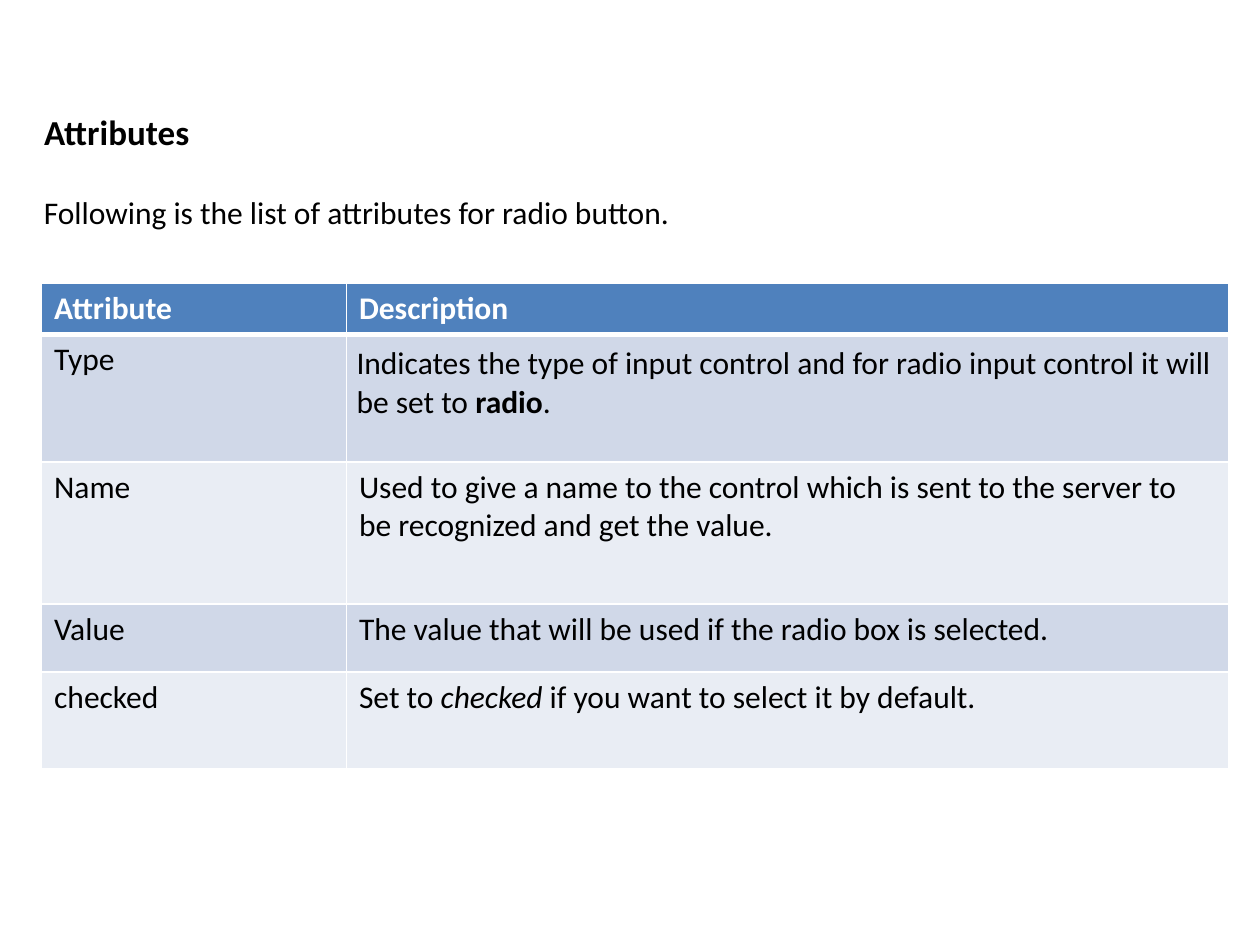
from lxml import etree
from pptx import Presentation, util as u
from pptx.dml.color import RGBColor
from pptx.enum import text
from pptx.oxml import ns

THEME = {
    "font": "Calibri", "title": 20, "body": 18,
    "ink": "000000", "paper": "FFFFFF", "header": "4F81BD",
    "bands": ("D0D8E8", "E9EDF4"), "rule": 1, "header_rule": 3,
}
TITLE = "Attributes"
INTRO = "Following is the list of attributes for radio button."
# Each cell is a list of (words, style) spans.
ROWS = [
    [[("Attribute", "bold")], [("Description", "bold")]],
    [[("Type", "")],
     [("Indicates the type of input control and for radio input control it will be set to\u00a0", ""),
      ("radio", "bold"), (".", "")]],
    [[("Name", "")],
     [("Used to give a name to the control which is sent to the server to be "
       "recognized and get the value.", "")]],
    [[("Value", "")],
     [("The value that will be used if the radio box is selected.", "")]],
    [[("checked", "")],
     [("Set to\u00a0", ""), ("checked", "italic"),
      ("\u00a0if you want to select it by default.", "")]],
]
TABLE_AT = (0.33, 2.25)
COLUMNS = (2.42, 7)
HEIGHTS = (0.36, 1.01, 1.13, 0.54, 0.77)
INSET_CELLS = {(1, 1): 0.08}


def write(frame, spans, size, color):
    """Fill a text frame with one paragraph of styled spans."""
    para = frame.paragraphs[0]
    para.alignment = text.PP_ALIGN.LEFT
    for words, style in spans:
        span = para.add_run()
        span.text = words
        look = {"name": THEME["font"], "size": u.Pt(size),
                "bold": style == "bold", "italic": style == "italic"}
        for key, value in look.items():
            setattr(span.font, key, value)
        span.font.color.rgb = RGBColor.from_string(color)


def place(box, left, top, width, height):
    """Position a text shape and anchor its wrapped text to the top."""
    for key, value in zip(("left", "top", "width", "height"), (left, top, width, height)):
        setattr(box, key, u.Inches(value))
    frame = box.text_frame
    frame.word_wrap = True
    frame.auto_size = text.MSO_AUTO_SIZE.NONE
    frame.vertical_anchor = text.MSO_ANCHOR.TOP
    return frame


def add_border(cell, side, points):
    """Draw one solid cell edge."""
    line = etree.SubElement(cell._tc.get_or_add_tcPr(), ns.qn("a:ln" + side),
                            w=str(u.Pt(points)))
    fill = etree.SubElement(line, ns.qn("a:solidFill"))
    etree.SubElement(fill, ns.qn("a:srgbClr"), val=THEME["paper"])


def format_cell(cell, row, column):
    """Set the edges, fill and margins of a cell by its place in the table."""
    heavy = {0: "B", 1: "T"}.get(row)
    for side in "LRTB":
        add_border(cell, side, THEME["header_rule" if side == heavy else "rule"])
    cell.fill.solid()
    color = THEME["bands"][(row - 1) % 2] if row else THEME["header"]
    cell.fill.fore_color.rgb = RGBColor.from_string(color)
    if (row, column) in INSET_CELLS:
        for side in ("left", "right", "top", "bottom"):
            setattr(cell, "margin_" + side, u.Inches(INSET_CELLS[row, column]))


def add_attribute_table(page):
    """Build the attribute table from ROWS."""
    bounds = (*TABLE_AT, sum(COLUMNS), sum(HEIGHTS))
    table = page.shapes.add_table(len(ROWS), len(COLUMNS), *map(u.Inches, bounds)).table
    for column, width in zip(table.columns, COLUMNS):
        column.width = u.Inches(width)
    for line, height in zip(table.rows, HEIGHTS):
        line.height = u.Inches(height)
    for row, cells in enumerate(ROWS):
        for column, spans in enumerate(cells):
            cell = table.cell(row, column)
            format_cell(cell, row, column)
            write(cell.text_frame, spans, THEME["body"], THEME["ink" if row else "paper"])


deck = Presentation()
deck.slide_width, deck.slide_height = u.Inches(10), u.Inches(7.5)
page = deck.slides.add_slide(deck.slide_layouts[5])
title = place(page.shapes.title, 0.25, 0.83, 9.5, 0.45)
write(title, [(TITLE, "bold")], THEME["title"], THEME["ink"])
intro = place(page.shapes.add_textbox(0, 0, 0, 0), 0.25, 1.48, 9.5, 0.4)
write(intro, [(INTRO, "")], THEME["body"], THEME["ink"])
add_attribute_table(page)
deck.save("out.pptx")
